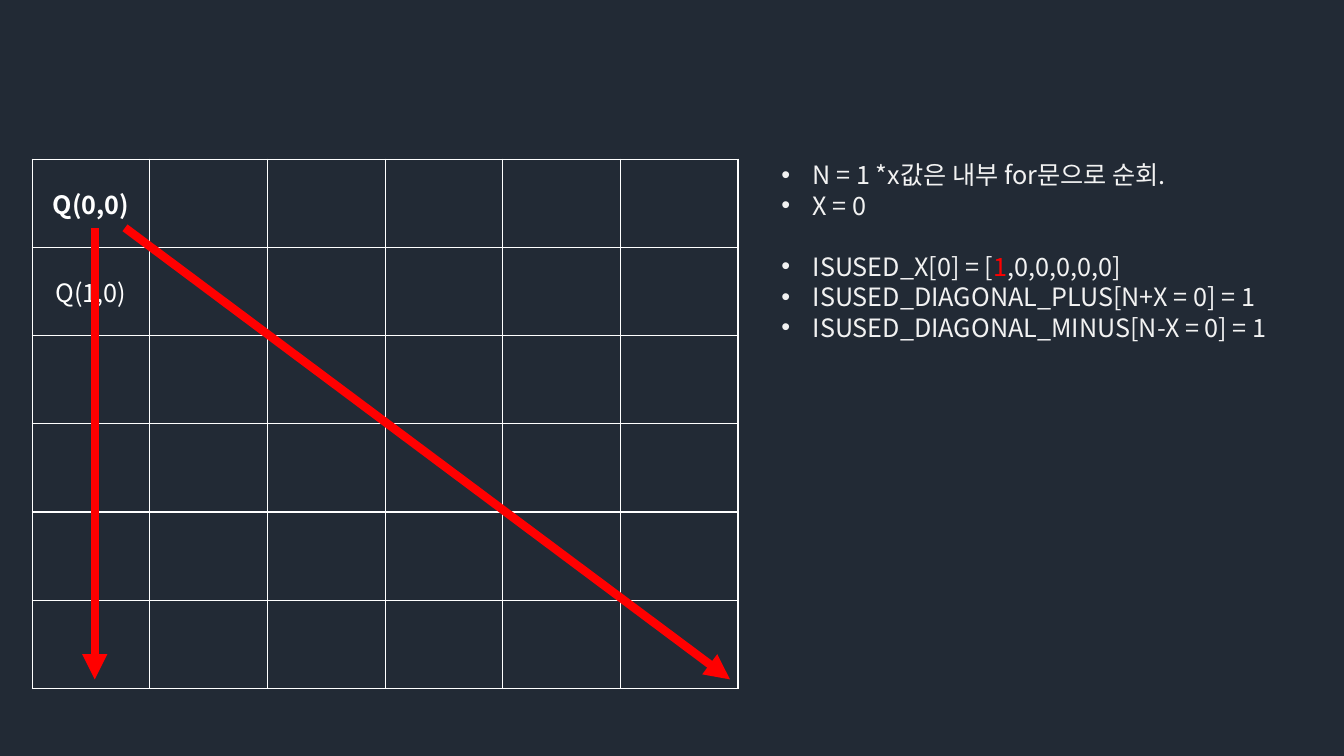
from dataclasses import dataclass

import pptx
import pptx.dml.color
import pptx.enum.shapes
import pptx.enum.text
import pptx.oxml
import pptx.oxml.ns
import pptx.util
from pptx.util import Inches


def rgb(code: str) -> pptx.dml.color.RGBColor:
    return pptx.dml.color.RGBColor.from_string(code)


@dataclass(frozen=True)
class Theme:
    font: str = "Noto Sans CJK KR"
    size: int = 18
    line_pitch: float = 21.8
    background: str = "222A35"
    grid: str = "FFFFFF"
    text: str = "F2F2F2"
    accent: str = "FF0000"
    grid_width: float = 1
    arrow_width: float = 6


@dataclass(frozen=True)
class Span:
    text: str
    color: str
    bold: bool = False


@dataclass(frozen=True)
class Bullet:
    spans: tuple[Span, ...]
    gap_before: float = 0


@dataclass(frozen=True)
class Arrow:
    start: tuple[float, float]
    end: tuple[float, float]


THEME = Theme()
BOARD_SIZE = 6
QUEENS = {
    (0, 0): Span("Q(0,0)", THEME.grid, bold=True),
    (1, 0): Span("Q(1,0)", THEME.grid),
}
BULLETS = (
    Bullet((Span("N = 1 *x값은 내부 for문으로 순회.", THEME.text),)),
    Bullet((Span("X = 0", THEME.text),)),
    Bullet((Span("ISUSED_X[0] = [", THEME.text), Span("1", THEME.accent),
            Span(",0,0,0,0,0]", THEME.text)), gap_before=THEME.line_pitch),
    Bullet((Span("ISUSED_DIAGONAL_PLUS[N+X = 0] = 1", THEME.text),)),
    Bullet((Span("ISUSED_DIAGONAL_MINUS[N-X = 0] = 1", THEME.text),)),
)
ATTACKS = (
    Arrow((0.94, 2.26), (0.94, 6.74)),
    Arrow((1.24, 2.26), (7.24, 6.74)),
)


def add_span(p, span: Span) -> None:
    r = p.add_run()
    r.text = span.text
    r.font.name = THEME.font
    r.font.size = pptx.util.Pt(THEME.size)
    r.font.bold = span.bold
    r.font.color.rgb = rgb(span.color)
    east_asian = pptx.oxml.parse_xml(
        f'<a:ea {pptx.oxml.ns.nsdecls("a")} typeface="{THEME.font}"/>')
    r.font._element.find(pptx.oxml.ns.qn("a:latin")).addnext(east_asian)


def format_cell(cell) -> None:
    """Give a cell no fill and a thin line on all four sides."""
    cell.fill.background()
    cell.vertical_anchor = pptx.enum.text.MSO_ANCHOR.MIDDLE
    width = pptx.util.Pt(THEME.grid_width)
    for i, side in enumerate(("lnL", "lnR", "lnT", "lnB")):
        border = pptx.oxml.parse_xml(
            f'<a:{side} {pptx.oxml.ns.nsdecls("a")} w="{width}"><a:solidFill>'
            f'<a:srgbClr val="{THEME.grid}"/></a:solidFill></a:{side}>')
        cell._tc.get_or_add_tcPr().insert(i, border)


def add_board(s) -> None:
    table = s.shapes.add_table(BOARD_SIZE, BOARD_SIZE, Inches(0.32), Inches(1.58),
                               Inches(7), Inches(5.25)).table
    table.first_row = False
    table.horz_banding = False
    for cell in table.iter_cells():
        format_cell(cell)
    for (row, column), span in QUEENS.items():
        p = table.cell(row, column).text_frame.paragraphs[0]
        p.alignment = pptx.enum.text.PP_ALIGN.CENTER
        add_span(p, span)


def fill_body(body) -> None:
    body.left, body.top = Inches(7.65), Inches(1.53)
    body.width, body.height = Inches(5.22), Inches(1.92)
    tf = body.text_frame
    tf.word_wrap = True
    tf.auto_size = pptx.enum.text.MSO_AUTO_SIZE.SHAPE_TO_FIT_TEXT
    for i, bullet in enumerate(BULLETS):
        p = tf.add_paragraph() if i else tf.paragraphs[0]
        p.line_spacing = pptx.util.Pt(THEME.line_pitch)
        p.space_before = pptx.util.Pt(bullet.gap_before)
        properties = p._p.get_or_add_pPr()
        properties.set("marL", str(Inches(0.31)))
        properties.set("indent", str(Inches(-0.31)))
        for span in bullet.spans:
            add_span(p, span)


def add_arrow(s, arrow: Arrow) -> None:
    line = s.shapes.add_connector(
        pptx.enum.shapes.MSO_CONNECTOR.STRAIGHT,
        *(Inches(value) for value in arrow.start + arrow.end))
    line.line.color.rgb = rgb(THEME.accent)
    line.line.width = pptx.util.Pt(THEME.arrow_width)
    namespace = pptx.oxml.ns.nsdecls("a")
    line.line._get_or_add_ln().append(
        pptx.oxml.parse_xml(f'<a:tailEnd {namespace} type="triangle"/>'))
    line._element.spPr.append(pptx.oxml.parse_xml(f"<a:effectLst {namespace}/>"))


def main() -> None:
    prs = pptx.Presentation()
    prs.slide_width, prs.slide_height = Inches(13.33), Inches(7.5)
    s = prs.slides.add_slide(prs.slide_layouts.get_by_name("Title and Content"))
    s.background.fill.solid()
    s.background.fill.fore_color.rgb = rgb(THEME.background)
    title = s.shapes.title._element
    title.getparent().remove(title)
    fill_body(s.placeholders[1])
    add_board(s)
    for arrow in ATTACKS:
        add_arrow(s, arrow)
    prs.save("out.pptx")


if __name__ == "__main__":
    main()
